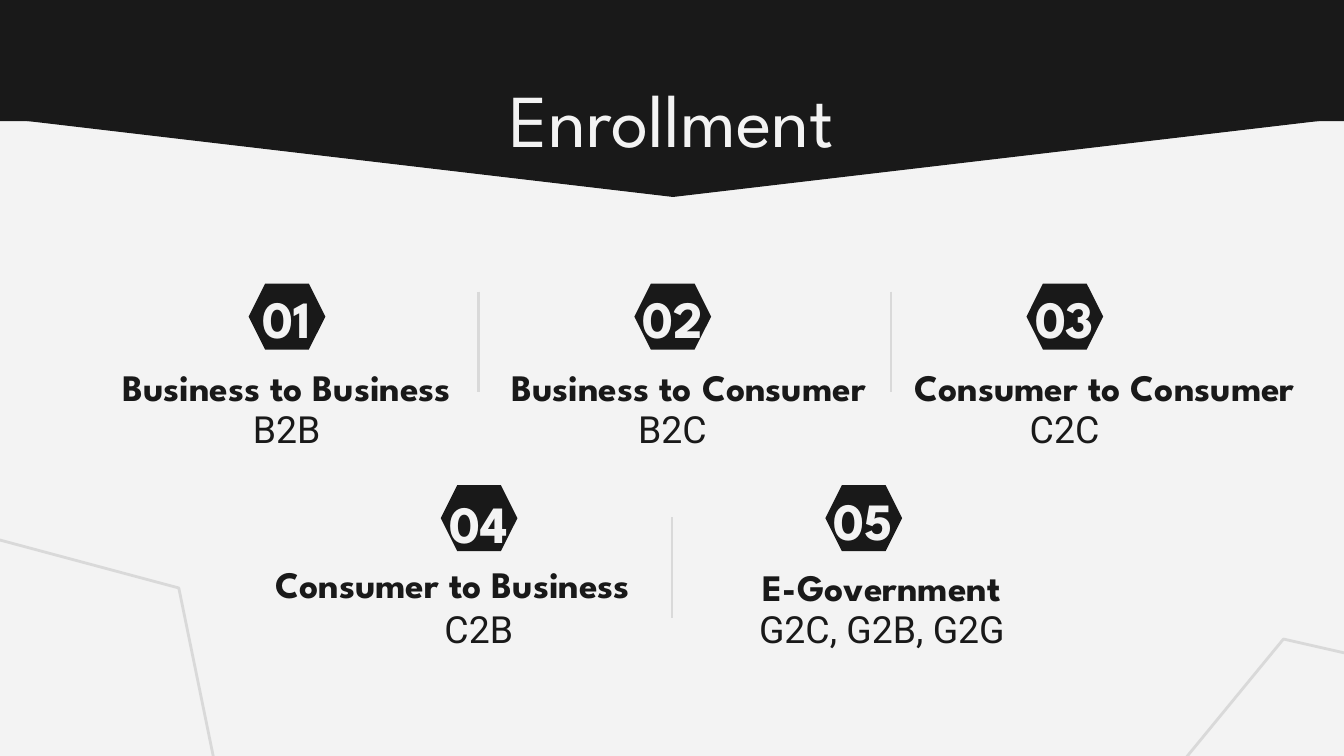
"""Build the Enrollment slide with five numbered e-commerce models."""
from lxml import etree
from pptx import Presentation
from pptx.dml.color import RGBColor
from pptx.enum.shapes import MSO_CONNECTOR, MSO_SHAPE
from pptx.enum.text import MSO_ANCHOR, MSO_AUTO_SIZE, PP_ALIGN
from pptx.oxml.ns import qn
from pptx.util import Cm, Pt

HEXAGON = MSO_SHAPE.HEXAGON
TRIANGLE = MSO_SHAPE.ISOSCELES_TRIANGLE
RECTANGLE = MSO_SHAPE.RECTANGLE
STRAIGHT = MSO_CONNECTOR.STRAIGHT
TOP, MIDDLE = MSO_ANCHOR.TOP, MSO_ANCHOR.MIDDLE
CENTER = PP_ALIGN.CENTER
NO_FIT = MSO_AUTO_SIZE.NONE

DARK, LIGHT, GREY = "191919", "F3F3F3", "D9D9D9"
HEADING_FONT, BODY_FONT = "League Spartan", "Roboto"


def add_plain_shape(kind, left, top, width, height, fill=None, line=None, weight=1.5):
    """Add a shape without shadow, with an optional fill and outline."""
    shape = page.shapes.add_shape(kind, Cm(left), Cm(top), Cm(width), Cm(height))
    shape.shadow.inherit = False
    if fill:
        shape.fill.solid()
        shape.fill.fore_color.rgb = RGBColor.from_string(fill)
    else:
        shape.fill.background()
    if line:
        shape.line.color.rgb = RGBColor.from_string(line)
        shape.line.width = Pt(weight)
    else:
        shape.line.fill.background()
    return shape


def write_text(box, text, font, size, color, bold=False, anchor=MIDDLE):
    """Fill a box with one centred paragraph."""
    frame = box.text_frame
    frame.word_wrap = True
    frame.auto_size = NO_FIT
    frame.vertical_anchor = anchor
    frame.margin_left = frame.margin_right = Cm(0.25)
    frame.margin_top = frame.margin_bottom = Cm(0.25)
    frame.text = text
    para = frame.paragraphs[0]
    para.alignment = CENTER
    para.font.name = font
    para.font.size = Pt(size)
    para.font.bold = bold
    para.font.color.rgb = RGBColor.from_string(color)


deck = Presentation()
deck.slide_width, deck.slide_height = Cm(25.4), Cm(14.29)
page = deck.slides.add_slide(deck.slide_layouts[5])
page.background.fill.solid()
page.background.fill.fore_color.rgb = RGBColor.from_string(LIGHT)

banner_tip = add_plain_shape(TRIANGLE, -0.03, 2.21, 25.5, 1.5, DARK, DARK, 0.75)
banner_tip.rotation = 180
add_plain_shape(RECTANGLE, -0.03, -0.1, 25.5, 2.39, DARK)

title = page.shapes.title
title.left, title.top, title.width, title.height = Cm(8.56), Cm(1.12), Cm(8.28), Cm(1.9)
write_text(title, "Enrollment", HEADING_FONT, 40, LIGHT, anchor=TOP)
page.shapes.element.append(title.element)

models = [
    ("01", 5.42, 5.36, 5.59, "Business to Business", 5.42, 6.5, 8.8, "B2B", 5.42, 7.42),
    ("02", 12.71, 5.36, 5.59, "Business to Consumer", 13.02, 6.5, 8.2, "B2C", 12.71, 7.42),
    ("03", 20.12, 5.36, 5.59, "Consumer to Consumer", 20.88, 6.5, 8.7, "C2C", 20.12, 7.42),
    ("04", 9.05, 9.17, 9.45, "Consumer to Business", 8.56, 10.24, 8, "C2B", 9.05, 11.2),
    ("05", 16.32, 9.17, 9.4, "E-Government", 16.67, 10.29, 6.2, "G2C, G2B, G2G", 16.67, 11.2),
]
for (number, center, badge_top, number_top, heading, heading_center, heading_top,
     heading_width, code, code_center, code_top) in models:
    add_plain_shape(HEXAGON, center - 0.72, badge_top, 1.45, 1.25, DARK)
    texts = [
        (number, center, number_top, 2.08, 0.84, HEADING_FONT, 28, LIGHT, True, MIDDLE),
        (heading, heading_center, heading_top, heading_width, 1.6, HEADING_FONT, 20, DARK, True, MIDDLE),
        (code, code_center, code_top, 5.46, 1.6, BODY_FONT, 20, DARK, False, TOP),
    ]
    for text, middle, top, width, height, font, size, color, bold, anchor in texts:
        box = page.shapes.add_textbox(Cm(middle - width / 2), Cm(top), Cm(width), Cm(height))
        write_text(box, text, font, size, color, bold, anchor)

for x, top in [(9.04, 5.51), (16.84, 5.51), (12.7, 9.78)]:
    divider = page.shapes.add_connector(STRAIGHT, Cm(x), Cm(top), Cm(x), Cm(top + 1.9))
    divider.line.color.rgb = RGBColor.from_string(GREY)
    divider.line.width = Pt(1.5)
    etree.SubElement(divider.element.spPr, qn("a:effectLst"))

for left, top, angle in [(-3.96, 10.36, 15), (21.06, 12.83, 309.4)]:
    corner = add_plain_shape(HEXAGON, left, top, 8.2, 6.43, line=GREY)
    corner.rotation = angle

deck.save("out.pptx")
